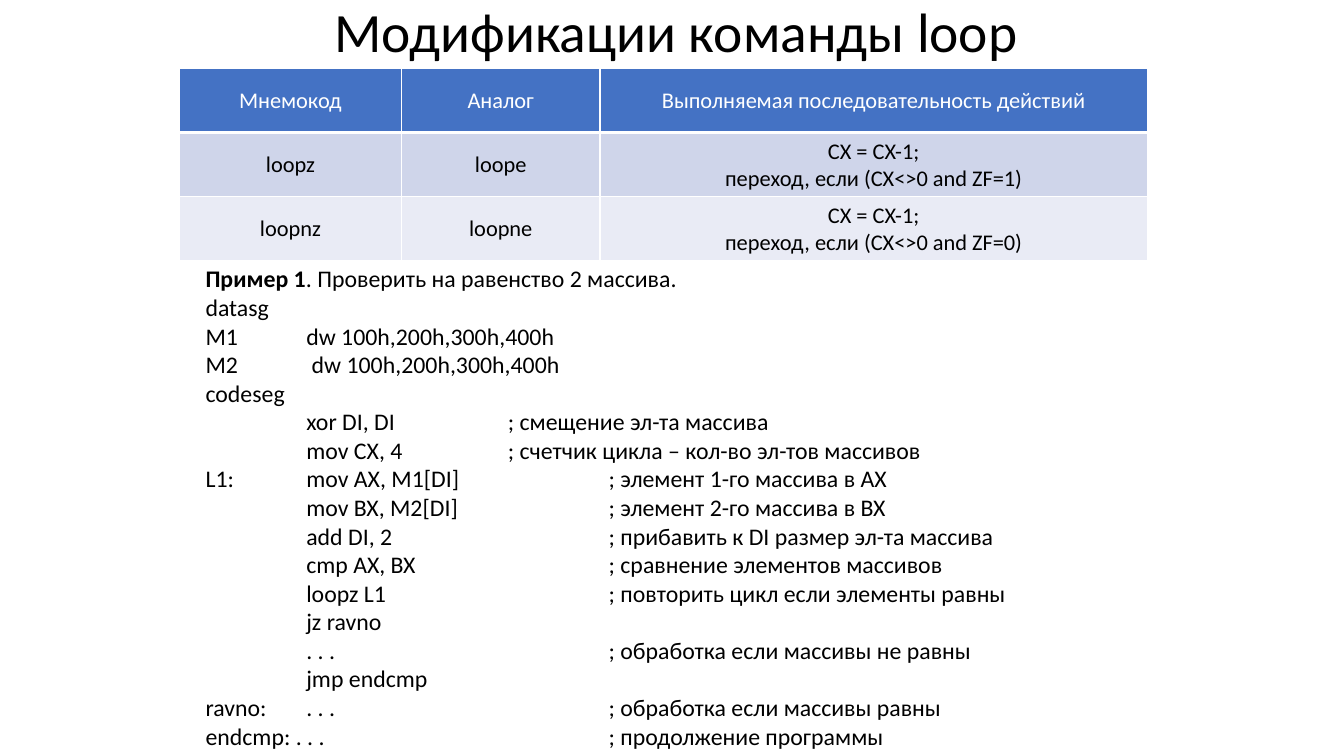
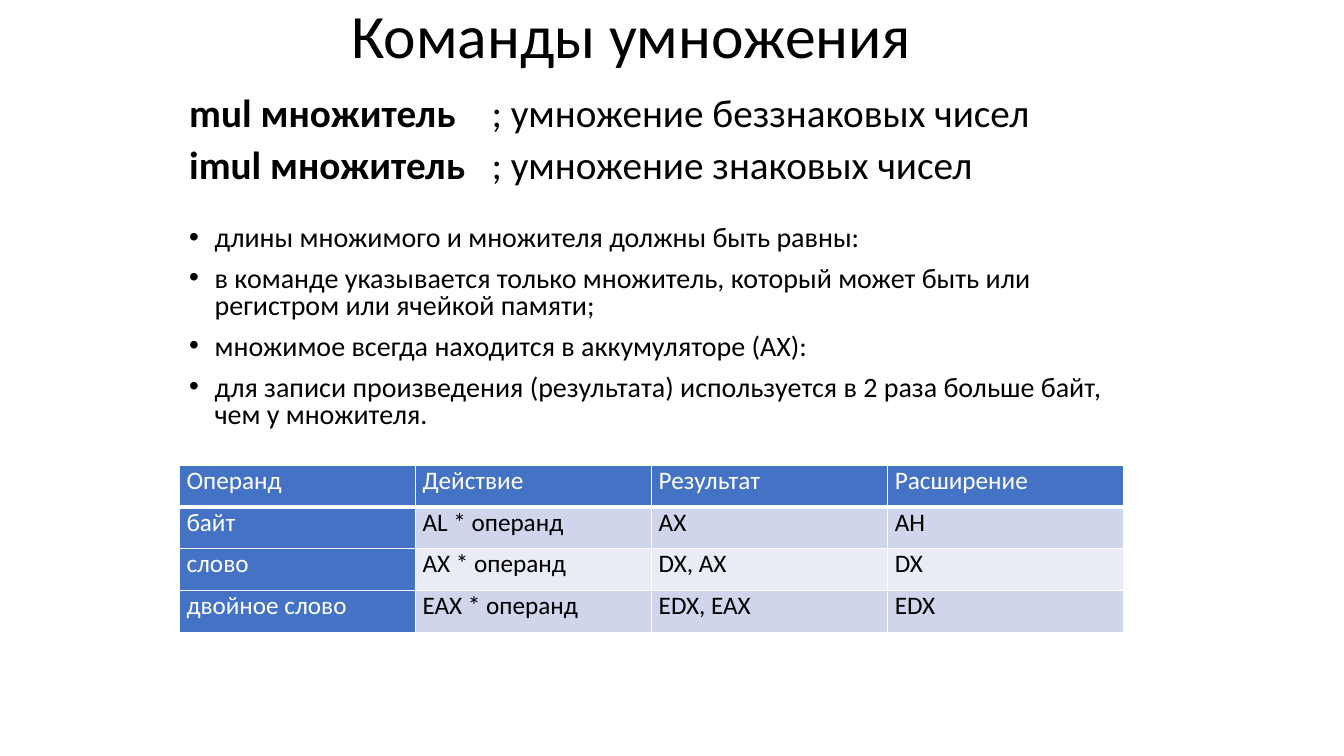
"""Builds two slides on assembly loop and multiplication commands."""
from lxml.etree import SubElement
from pptx import Presentation
from pptx.dml.color import RGBColor
from pptx.enum.text import MSO_ANCHOR, PP_ALIGN
from pptx.oxml.ns import qn
from pptx.util import Cm, Pt

COLORS = {"text": "000000", "light": "FFFFFF", "accent": "4472C4",
          "band_dark": "CFD5EA", "band_light": "E9EBF5"}
FONT = "Calibri"
TAB_STEP = 2.54
INDENT = 0.64

LOOP_ROWS = [
    ["Мнемокод", "Аналог", "Выполняемая последовательность действий"],
    ["loopz", "loope", "CX = CX-1;\nпереход, если (CX<>0 and ZF=1)"],
    ["loopnz", "loopne", "CX = CX-1;\nпереход, если (CX<>0 and ZF=0)"],
]
LISTING = [
    "datasg",
    "M1\tdw 100h,200h,300h,400h",
    "M2\t dw 100h,200h,300h,400h",
    "codeseg",
    "\txor DI, DI\t\t; смещение эл-та массива",
    "\tmov CX, 4\t\t; счетчик цикла – кол-во эл-тов массивов",
    "L1:\tmov AX, M1[DI]\t\t; элемент 1-го массива в AX",
    "\tmov BX, M2[DI]\t\t; элемент 2-го массива в BX",
    "\tadd DI, 2\t\t\t; прибавить к DI размер эл-та массива",
    "\tcmp AX, BX\t\t; сравнение элементов массивов",
    "\tloopz L1\t\t\t; повторить цикл если элементы равны",
    "\tjz ravno",
    "\t. . .\t\t\t; обработка если массивы не равны",
    "\tjmp endcmp",
    "ravno:\t. . .\t\t\t; обработка если массивы равны",
    "endcmp: . . .\t\t\t; продолжение программы",
]
COMMANDS = [
    ("mul множитель", "\t; умножение беззнаковых чисел"),
    ("imul множитель", "\t; умножение знаковых чисел"),
]
RULES = [
    "длины множимого и множителя должны быть равны:",
    "в команде указывается только множитель, который может быть или "
    "регистром или ячейкой памяти;",
    "множимое всегда находится в аккумуляторе (AX):",
    "для записи произведения (результата) используется в 2 раза больше байт, "
    "чем у множителя.",
]
OPERAND_ROWS = [
    ["Операнд", "Действие", "Результат", "Расширение"],
    ["байт", "AL * операнд", "AX", "AH"],
    ["слово", "AX * операнд", "DX, AX", "DX"],
    ["двойное слово", "EAX * операнд", "EDX, EAX", "EDX"],
]


class Deck:
    """Holds the shared style and the slide being built."""

    def __init__(self):
        self.presentation = Presentation()
        self.presentation.slide_width = Cm(33.87)
        self.presentation.slide_height = Cm(19.05)
        self.slide = None

    def new_slide(self):
        """Start a blank slide."""
        self.slide = self.presentation.slides.add_slide(self.presentation.slide_layouts[6])

    def text_box(self, left, top, width, height):
        """Add a wrapping text box and return its frame."""
        frame = self.slide.shapes.add_textbox(Cm(left), Cm(top), Cm(width), Cm(height)).text_frame
        frame.word_wrap = True
        return frame

    def style(self, paragraph, size, color="text"):
        """Set the paragraph font."""
        font = paragraph.font
        font.name, font.size = FONT, Pt(size)
        font.color.rgb = RGBColor.from_string(COLORS[color])
        return font

    def title(self, text, left, width, height, size):
        """Add a centred title at the top edge."""
        frame = self.text_box(left, 0, width, height)
        frame.vertical_anchor = MSO_ANCHOR.MIDDLE
        heading = self.line(frame, text, size, spacing=0.9)
        heading.alignment = PP_ALIGN.CENTER

    def line(self, frame, text, size, lead="", spacing=1.0, before=0, bullet=False):
        """Append a paragraph with an optional bold lead."""
        first = frame.paragraphs[0]
        is_first = not first.runs
        paragraph = first if is_first else frame.add_paragraph()
        properties = paragraph._p.get_or_add_pPr()
        if bullet:
            properties.set("marL", str(Cm(INDENT)))
            properties.set("indent", str(-Cm(INDENT)))
            SubElement(properties, qn("a:buFont"), typeface="Arial")
            SubElement(properties, qn("a:buChar"), char="•")
        if "\t" in text:
            stops = SubElement(properties, qn("a:tabLst"))
            for step in range(1, 5):
                SubElement(stops, qn("a:tab"), pos=str(Cm(TAB_STEP * step)), algn="l")
        self.style(paragraph, size)
        paragraph.line_spacing = spacing
        if before and not is_first:
            paragraph.space_before = Pt(before)
        if lead:
            lead_run = paragraph.add_run()
            lead_run.text = lead
            lead_run.font.bold = True
        paragraph.add_run().text = text
        return paragraph

    def borders(self, cell, bottom):
        """Draw white cell borders with the given bottom width."""
        properties = cell._tc.get_or_add_tcPr()
        widths = {"a:lnL": 1, "a:lnR": 1, "a:lnT": 1, "a:lnB": bottom}
        for place, (tag, width) in enumerate(widths.items()):
            edge = SubElement(properties, qn(tag), w=str(Pt(width)))
            SubElement(SubElement(edge, qn("a:solidFill")), qn("a:srgbClr"), val=COLORS["light"])
            properties.insert(place, edge)

    def table(self, rows, left, top, widths, row_height, size, margins,
              align=PP_ALIGN.LEFT, anchor=MSO_ANCHOR.TOP, row_heads=False):
        """Add a banded table with a header row."""
        grid = self.slide.shapes.add_table(
            len(rows), len(widths), Cm(left), Cm(top),
            Cm(sum(widths)), Cm(row_height * len(rows))).table
        grid.first_col = row_heads
        for column, width in zip(grid.columns, widths):
            column.width = Cm(width)
        for r, texts in enumerate(rows):
            grid.rows[r].height = Cm(row_height)
            for c, text in enumerate(texts):
                cell = grid.cell(r, c)
                is_head = r == 0 or (row_heads and c == 0)
                band = "band_dark" if r % 2 else "band_light"
                cell.fill.solid()
                cell.fill.fore_color.rgb = RGBColor.from_string(
                    COLORS["accent" if is_head else band])
                self.borders(cell, 3 if r == 0 else 1)
                cell.margin_left = cell.margin_right = Cm(margins[0])
                cell.margin_top = cell.margin_bottom = Cm(margins[1])
                cell.vertical_anchor = anchor
                cell.text_frame.text = text
                for paragraph in cell.text_frame.paragraphs:
                    paragraph.alignment = align
                    self.style(paragraph, size, "light" if is_head else "text").bold = False


def loop_slide(deck):
    """Build the slide on loop variants."""
    deck.new_slide()
    deck.title("Модификации команды loop", 5.61, 22.86, 1.75, 39.6)
    deck.table(LOOP_ROWS, 4.52, 1.73, [5.6, 5, 13.8], 1.61, 16, (0.25, 0.13),
               PP_ALIGN.CENTER, MSO_ANCHOR.MIDDLE)
    example = deck.text_box(4.93, 6.53, 23.6, 12.6)
    deck.line(example, ". Проверить на равенство 2 массива.", 17, lead="Пример 1")
    for code in LISTING:
        deck.line(example, code, 17)


def multiplication_slide(deck):
    """Build the slide on multiplication commands."""
    deck.new_slide()
    deck.title("Команды умножения", 5.54, 20.75, 1.96, 44)
    body = deck.text_box(4.52, 2.34, 24.61, 9)
    for command, comment in COMMANDS:
        deck.line(body, comment, 28, lead=command, spacing=0.8, before=10)
    for number, rule in enumerate(RULES):
        deck.line(body, rule, 20, spacing=0.8, before=10 if number else 28, bullet=True)
    deck.table(OPERAND_ROWS, 4.52, 11.73, [5.95] * 4, 1.05, 18, (0.18, 0), row_heads=True)


def main():
    """Build and save the deck."""
    deck = Deck()
    loop_slide(deck)
    multiplication_slide(deck)
    deck.presentation.save("out.pptx")


if __name__ == "__main__":
    main()
